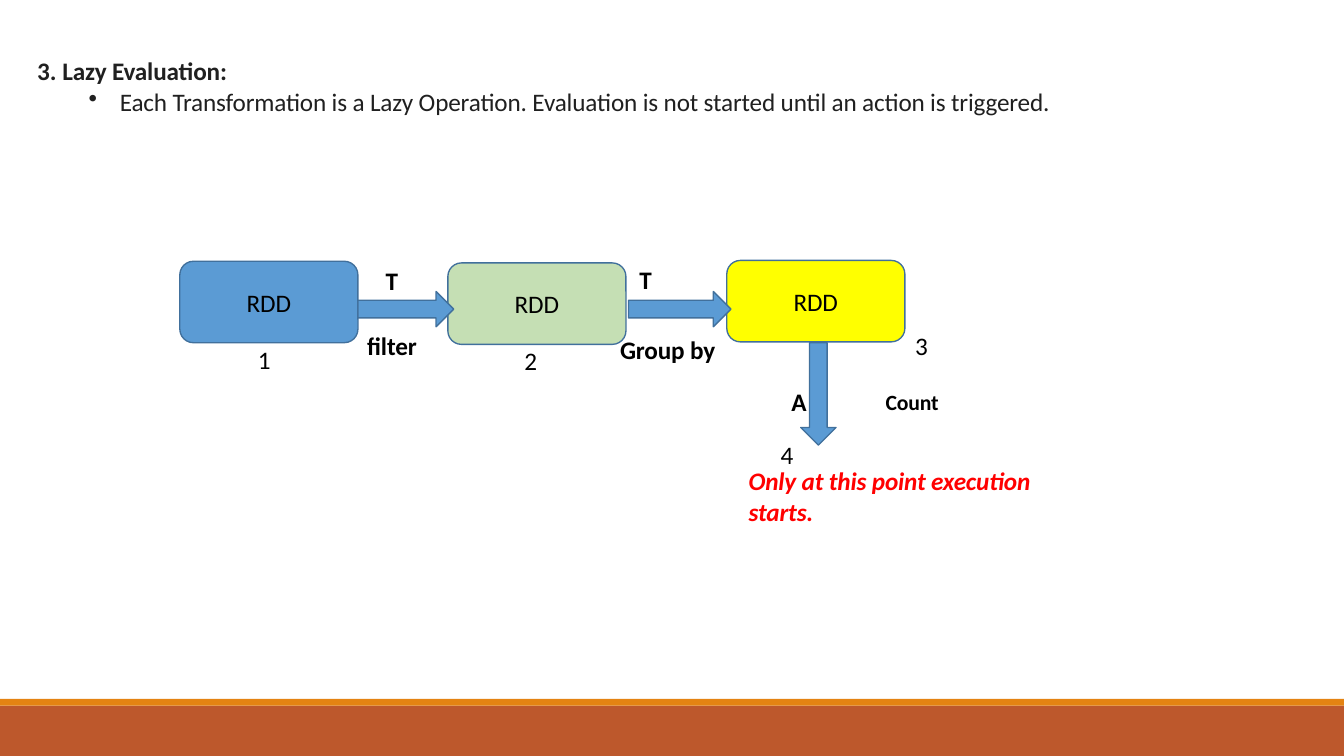
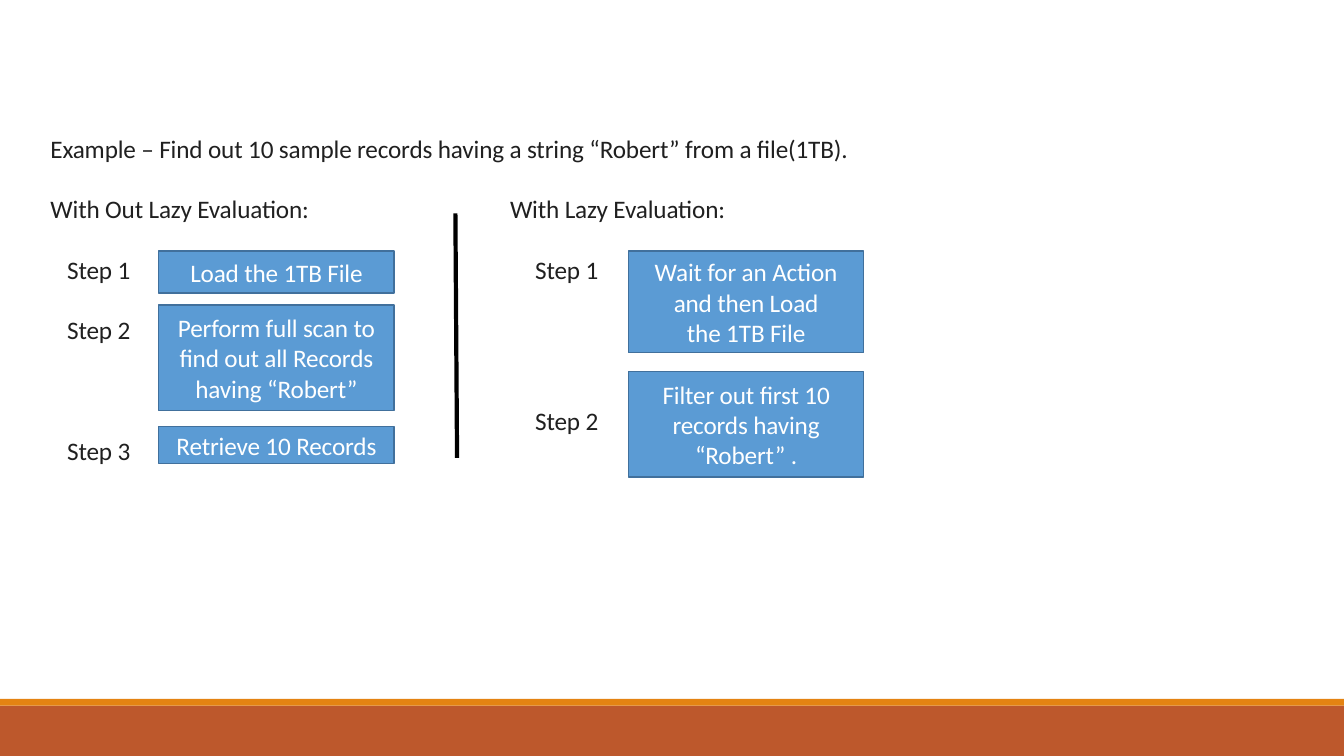
from lxml import etree
from pptx import Presentation
from pptx.dml.color import RGBColor
from pptx.enum.shapes import MSO_CONNECTOR, MSO_SHAPE
from pptx.enum.text import MSO_ANCHOR, PP_ALIGN
from pptx.oxml.ns import qn
from pptx.util import Inches, Pt

RECT, ROUND = MSO_SHAPE.RECTANGLE, MSO_SHAPE.ROUNDED_RECTANGLE
RIGHT, DOWN = MSO_SHAPE.RIGHT_ARROW, MSO_SHAPE.DOWN_ARROW
STRAIGHT = MSO_CONNECTOR.STRAIGHT
TOP, MIDDLE = MSO_ANCHOR.TOP, MSO_ANCHOR.MIDDLE
LEFT, CENTER = PP_ALIGN.LEFT, PP_ALIGN.CENTER

BLACK = RGBColor(0x00, 0x00, 0x00)
WHITE = RGBColor(0xFF, 0xFF, 0xFF)
INK = RGBColor(0x20, 0x20, 0x20)
RED = RGBColor(0xFF, 0x00, 0x00)
BLUE = RGBColor(0x5B, 0x9B, 0xD4)
OUTLINE = RGBColor(0x41, 0x70, 0x9C)
GREEN = RGBColor(0xC5, 0xDF, 0xB4)
YELLOW = RGBColor(0xFF, 0xFF, 0x00)
RUST = RGBColor(0xBD, 0x58, 0x2C)
ORANGE = RGBColor(0xE4, 0x83, 0x12)

# The slide is a grid of 160 columns by 90 rows of square cells
COLS, ROWS = 160, 90
prs = Presentation()
prs.slide_width, prs.slide_height = Inches(13.33), Inches(7.5)
CELL = prs.slide_height / ROWS
blank = prs.slide_layouts[6]


def box(s, x, y, w=34, h=4, kind=None, fill=None, line=OUTLINE):
    """Add a preset shape, or a text box when no kind is given."""
    place = [round(v * CELL) for v in (x, y, w, h)]
    if kind is None:
        sp = s.shapes.add_textbox(*place)
    else:
        sp = s.shapes.add_shape(kind, *place)
        sp.shadow.inherit = False
        sp.fill.solid()
        sp.fill.fore_color.rgb = fill
        if line is None:
            sp.line.fill.background()
        else:
            sp.line.color.rgb = line
            sp.line.width = Pt(0.96)
    tf = sp.text_frame
    tf.word_wrap = True
    tf.margin_left = tf.margin_right = tf.margin_bottom = 0
    tf.margin_top = Inches(0.02) if kind is None else 0
    tf.vertical_anchor = TOP if kind is None else MIDDLE
    return sp


def write(sp, text, size=18, color=BLACK, bold=False, italic=False, align=LEFT,
          bullet=None, margin=0, hang=0):
    """Add a paragraph; bullet is a tag with its attributes."""
    tf = sp.text_frame
    p = tf.add_paragraph() if tf.text else tf.paragraphs[0]
    p.text = text
    p.alignment = align
    for r in p.runs:
        r.font.name, r.font.size = "Calibri", Pt(size)
        r.font.bold, r.font.italic = bold, italic
        r.font.color.rgb = color
        r._r.get_or_add_rPr().set("spc", "-10")
    if bullet:
        tag, attributes = bullet
        pPr = p._p.get_or_add_pPr()
        pPr.set("marL", str(Inches(margin)))
        pPr.set("indent", str(-Inches(hang)))
        etree.SubElement(pPr, qn(tag), attributes)


# Bands shared by all slides, kept on the layout
s = prs.slides.add_slide(blank)
for y, h, color in ((84, 6, RUST), (83.2, 0.8, ORANGE)):
    band = box(s, 0, y, COLS, h, RECT, color, line=None)
    blank.element.cSld.spTree.append(band.element)

# Slide 1: heading and statement
sp = box(s, 4.3, 6.4, 123, 7.6)
write(sp, "Lazy Evaluation:", color=INK, bold=True, margin=0.26, hang=0.25,
      bullet=("a:buAutoNum", {"type": "arabicPeriod", "startAt": "3"}))
write(sp, "Each Transformation is a Lazy Operation. Evaluation is not started "
      "until an action is triggered.", color=INK, margin=0.83, hang=0.31,
      bullet=("a:buChar", {"char": "•"}))

# Slide 1: chain of datasets
for x, y, color in ((21.4, 31.1, BLUE), (53.3, 31.3, GREEN), (86.5, 31, YELLOW)):
    write(box(s, x, y, 21.2, 9.7, ROUND, color), "RDD", align=CENTER)

# Slide 1: transformations and the action
for kind, x, y, w, h in ((RIGHT, 42.6, 34.7, 11.4, 4.2),
                         (RIGHT, 74.8, 34.7, 12.2, 4.2),
                         (DOWN, 95.3, 40.8, 4.2, 12.2)):
    box(s, x, y, w, h, kind, BLUE)

# Slide 1: arrow labels and numbers
for x, y, label, size in ((45.9, 31.3, "T", 18), (76.1, 31.2, "T", 18),
                          (43.7, 39.1, "filter", 18), (73.8, 39.6, "Group by", 18),
                          (94.2, 45.7, "A", 18), (105.4, 46, "Count", 15.5)):
    write(box(s, x, y, 14), label, size=size, bold=True)
for x, y, number in ((30.7, 40.7, "1"), (62.4, 40.9, "2"),
                     (108.9, 39.1, "3"), (92.9, 52, "4")):
    write(box(s, x, y, 2), number)
write(box(s, 89.1, 55.2, 36, 7.6), "Only at this point execution\vstarts.",
      color=RED, bold=True, italic=True)

# Slide 2: example
s = prs.slides.add_slide(blank)
write(box(s, 6, 15.6, 110), "Example – Find out 10 sample records having a string "
      "“Robert” from a file(1TB).", color=INK)

# Slide 2: one column per approach, a step label beside each box
approaches = (
    ("With Out Lazy Evaluation:", 6, 8, 18.9, (
        (30, 29.9, 5, "Load the 1TB File"),
        (37.2, 36.3, 12.6, "Perform full scan to\vfind out all Records\vhaving “Robert”"),
        (51.6, 50.8, 4.4, "Retrieve 10 Records"))),
    ("With Lazy Evaluation:", 60.7, 63.7, 74.8, (
        (30, 29.9, 12.1, "Wait for an Action\vand then Load\vthe 1TB File"),
        (48, 44.2, 12.6, "Filter out first 10\vrecords having\v“Robert” ."))),
)
for title, title_x, step_x, box_x, steps in approaches:
    write(box(s, title_x, 22.8), title, color=INK)
    for n, (step_y, box_y, h, action) in enumerate(steps, 1):
        write(box(s, step_x, step_y, 10), f"Step {n}", color=INK)
        write(box(s, box_x, box_y, 28, h, RECT, BLUE), action,
              color=WHITE, align=CENTER)

# Slide 2: divider
ends = [round(v * CELL) for v in (54.2, 25.4, 54.4, 54.5)]
divider = s.shapes.add_connector(STRAIGHT, *ends)
divider.line.color.rgb = BLACK
divider.line.width = Pt(3)
etree.SubElement(divider.element.spPr, qn("a:effectLst"))

prs.save("out.pptx")
